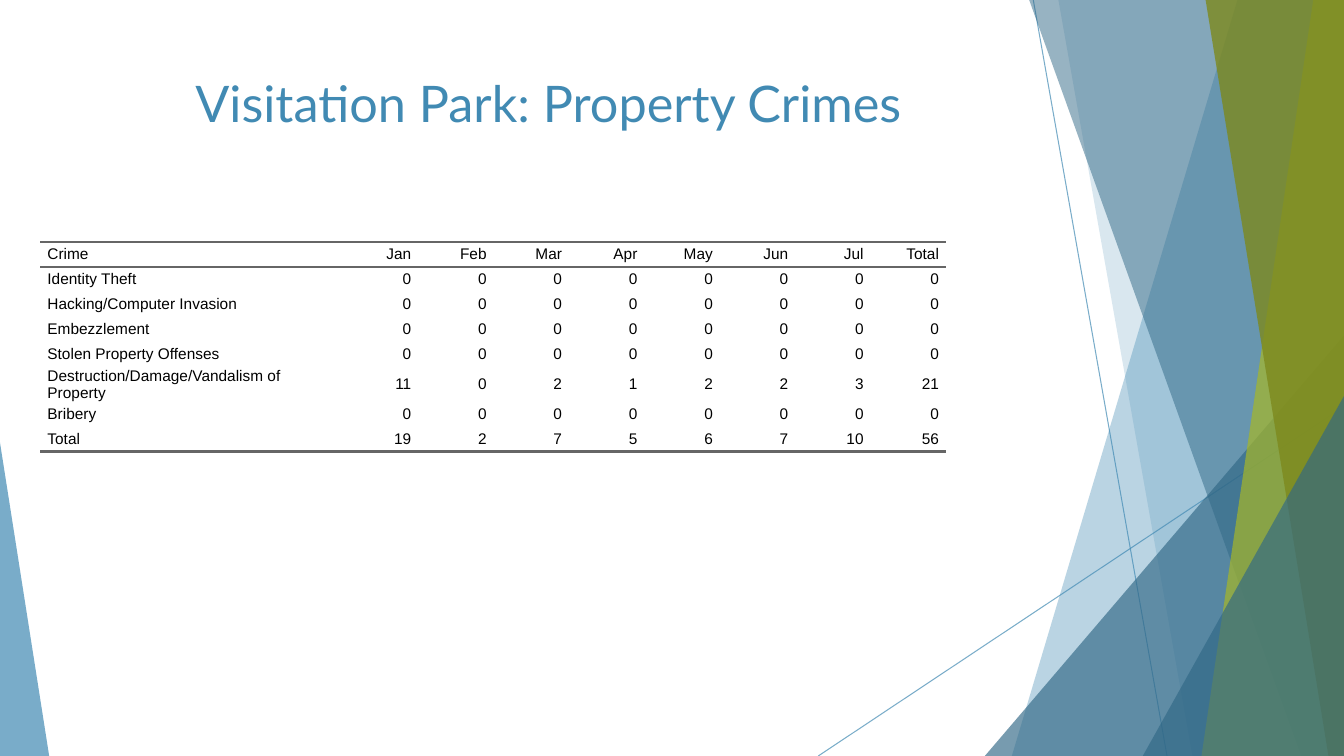
from lxml import etree
from pptx import Presentation
from pptx.dml.color import RGBColor
from pptx.enum.shapes import MSO_CONNECTOR, MSO_SHAPE
from pptx.enum.text import MSO_ANCHOR, PP_ALIGN
from pptx.oxml.ns import qn
from pptx.util import Cm, Pt

TRIANGLE = MSO_SHAPE.ISOSCELES_TRIANGLE
STRAIGHT = MSO_CONNECTOR.STRAIGHT
TOP, MIDDLE = MSO_ANCHOR.TOP, MSO_ANCHOR.MIDDLE
LEFT, CENTER, RIGHT = PP_ALIGN.LEFT, PP_ALIGN.CENTER, PP_ALIGN.RIGHT

BLUE = RGBColor(0x41, 0x8A, 0xB3)
DARK_BLUE = RGBColor(0x31, 0x68, 0x86)
LIME = RGBColor(0xA6, 0xB7, 0x27)
OLIVE = RGBColor(0x7D, 0x89, 0x1D)
GREY = RGBColor(0x66, 0x66, 0x66)
BLACK = RGBColor(0, 0, 0)
NO_STYLE = "{2D5ABB26-0587-4C30-8999-92F81FD0307C}"

WIDTH, HEIGHT = 33.87, 19.05

prs = Presentation()
prs.slide_width, prs.slide_height = Cm(WIDTH), Cm(HEIGHT)
slide = prs.slides.add_slide(prs.slide_layouts[6])
shapes = slide.shapes


def set_opacity(s, percent):
    color = s._element.spPr.find(".//" + qn("a:srgbClr"))
    etree.SubElement(color, qn("a:alpha")).set("val", str(percent * 1000))


def add_border(cell, side):
    ln = etree.SubElement(cell._tc.get_or_add_tcPr(), qn("a:" + side))
    ln.set("w", str(Pt(2)))
    fill = etree.SubElement(ln, qn("a:solidFill"))
    etree.SubElement(fill, qn("a:srgbClr")).set("val", str(GREY))


for x1, y1, x2, y2 in [(26.04, 0, 29.41, HEIGHT), (WIDTH, 10.24, 20.62, HEIGHT)]:
    s = shapes.add_connector(STRAIGHT, Cm(x1), Cm(y1), Cm(x2), Cm(y2))
    s.line.color.rgb = BLUE
    s.line.width = Pt(0.75)
    set_opacity(s, 70)
    etree.SubElement(s._element.spPr, qn("a:effectLst"))

facets = [
    ("band", (31.19, 25.5), BLUE, 36),
    ("band", (26.67, 30.05), BLUE, 20),
    ("triangle", (24.82, 8.46, 9.05, 1), DARK_BLUE, 66),
    ("band", (25.93, 32.79), DARK_BLUE, 50),
    ("band", (33.1, 30.28), LIME, 70),
    ("band", (30.38, 33.48), OLIVE, 80),
    ("triangle", (28.8, 9.98, 5.07, 1), DARK_BLUE, 66),
    ("triangle", (0, 11.15, 1.24, 0), BLUE, 70),
]
for kind, geometry, color, opacity in facets:
    if kind == "band":
        top_x, bottom_x = geometry
        outline = shapes.build_freeform(Cm(top_x), Cm(-0.02))
        corners = [(WIDTH, -0.02), (WIDTH, HEIGHT), (bottom_x, HEIGHT)]
        outline.add_line_segments([(Cm(x), Cm(y)) for x, y in corners])
        s = outline.convert_to_shape()
    else:
        x, y, width, apex = geometry
        s = shapes.add_shape(TRIANGLE, Cm(x), Cm(y), Cm(width), Cm(HEIGHT - y))
        s.adjustments[0] = apex
    s.shadow.inherit = False
    s.fill.solid()
    s.fill.fore_color.rgb = color
    s.line.fill.background()
    set_opacity(s, opacity)

rows = [
    ("Crime", "Jan", "Feb", "Mar", "Apr", "May", "Jun", "Jul", "Total"),
    ("Identity Theft", 0, 0, 0, 0, 0, 0, 0, 0),
    ("Hacking/Computer Invasion", 0, 0, 0, 0, 0, 0, 0, 0),
    ("Embezzlement", 0, 0, 0, 0, 0, 0, 0, 0),
    ("Stolen Property Offenses", 0, 0, 0, 0, 0, 0, 0, 0),
    ("Destruction/Damage/Vandalism of Property", 11, 0, 2, 1, 2, 2, 3, 21),
    ("Bribery", 0, 0, 0, 0, 0, 0, 0, 0),
    ("Total", 19, 2, 7, 5, 6, 7, 10, 56),
]
col_widths = [7.62] + [1.9] * 8
row_height = 0.63
s = shapes.add_table(len(rows), len(col_widths), Cm(1.02), Cm(6.1),
                     Cm(sum(col_widths)), Cm(row_height * len(rows)))
table = s.table
table.first_row = table.horz_banding = False
table._tbl.tblPr.find(qn("a:tableStyleId")).text = NO_STYLE
for column, width in zip(table.columns, col_widths):
    column.width = Cm(width)
for i, row in enumerate(rows):
    table.rows[i].height = Cm(row_height)
    for j, value in enumerate(row):
        cell = table.cell(i, j)
        cell.margin_left = cell.margin_right = Pt(5)
        cell.margin_top = cell.margin_bottom = 0
        cell.vertical_anchor = MIDDLE
        if i == 0:
            add_border(cell, "lnT")
        if i in (0, len(rows) - 1):
            add_border(cell, "lnB")
        cell.fill.background()
        p = cell.text_frame.paragraphs[0]
        p.alignment = RIGHT if j else LEFT
        r = p.add_run()
        r.text = str(value)
        r.font.size = Pt(11)
        r.font.name = "Arial"
        r.font.color.rgb = BLACK

s = shapes.add_textbox(Cm(1.88), Cm(1.7), Cm(23.88), Cm(3.66))
tf = s.text_frame
tf.word_wrap = True
tf.vertical_anchor = TOP
p = tf.paragraphs[0]
p.alignment = CENTER
r = p.add_run()
r.text = "Visitation Park: Property Crimes"
r.font.size = Pt(36)
r.font.name = "Lato"
r.font.color.rgb = BLUE

prs.save("out.pptx")
